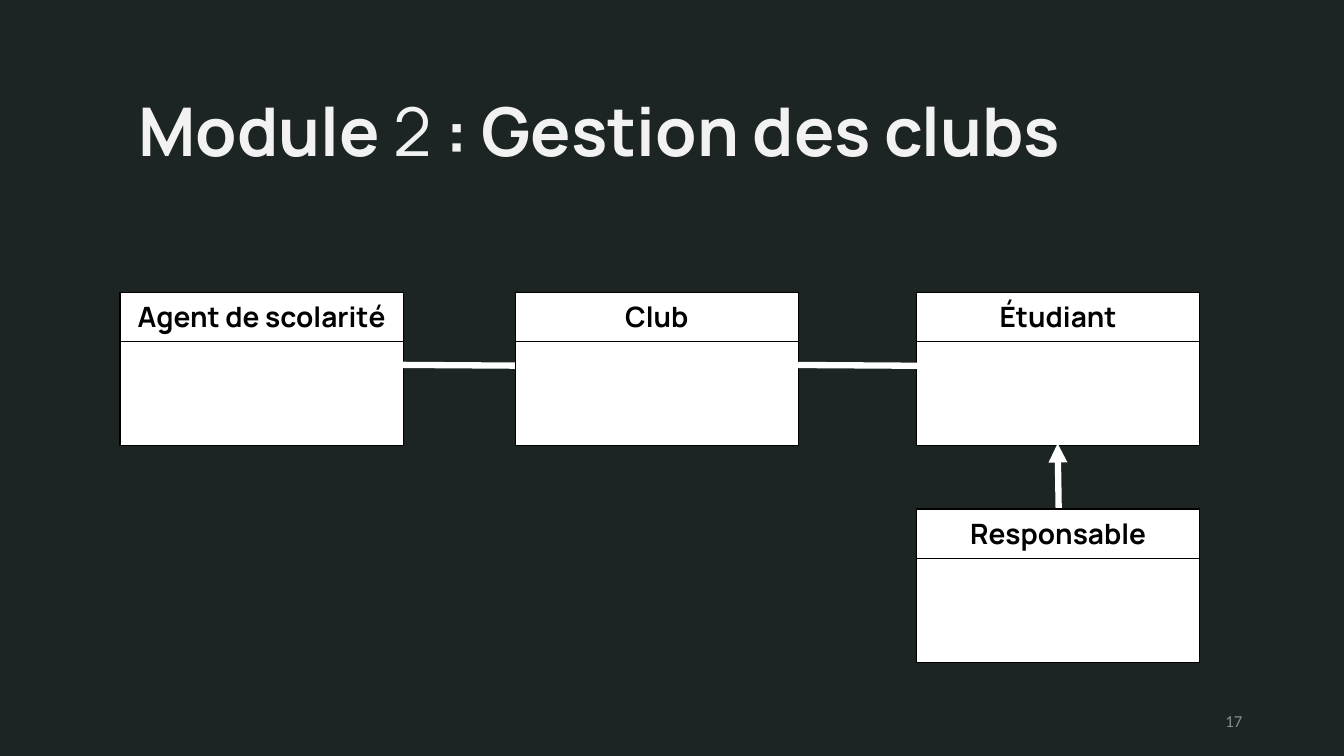
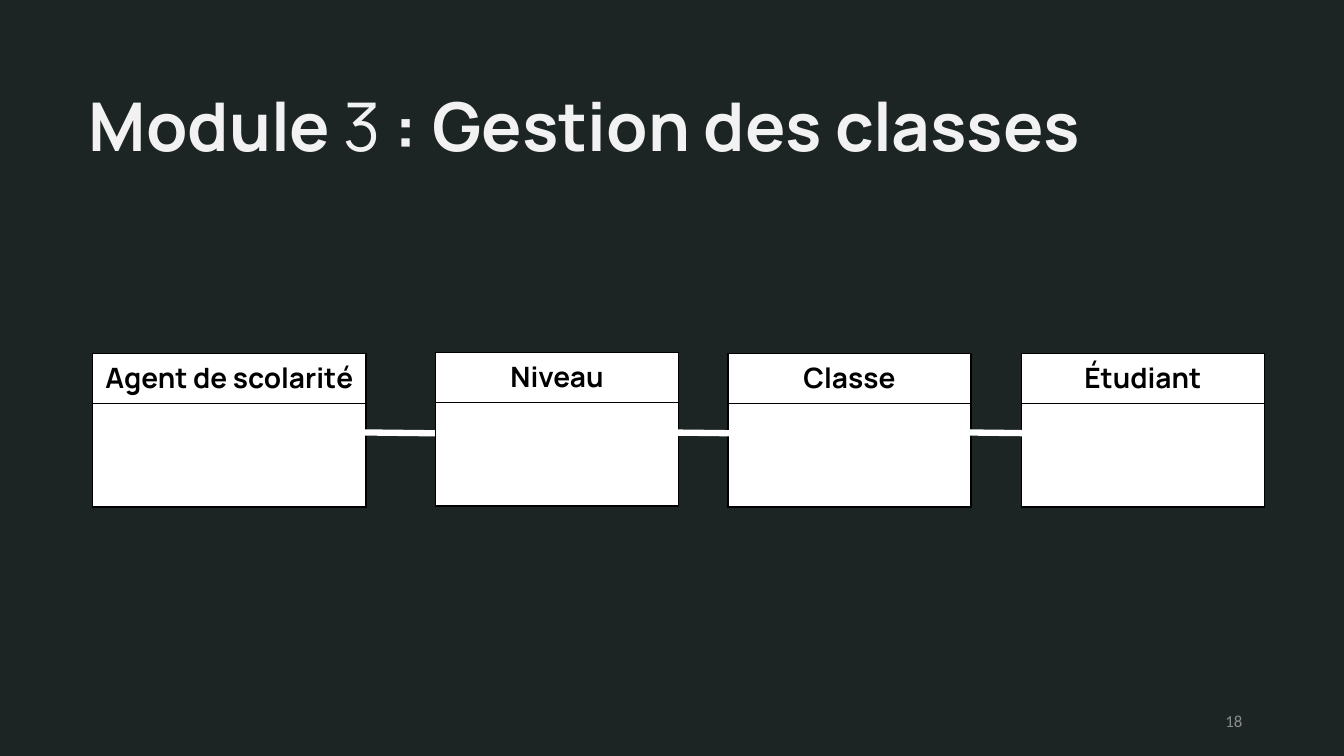
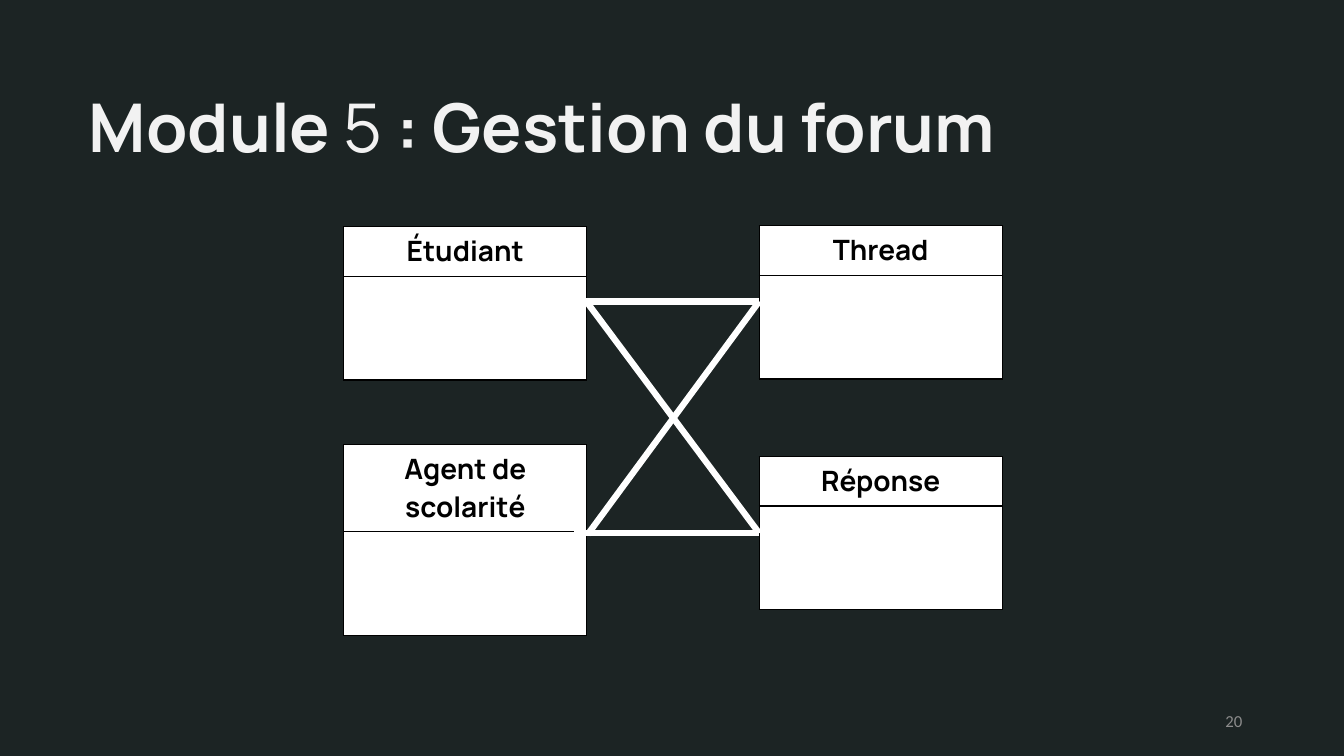
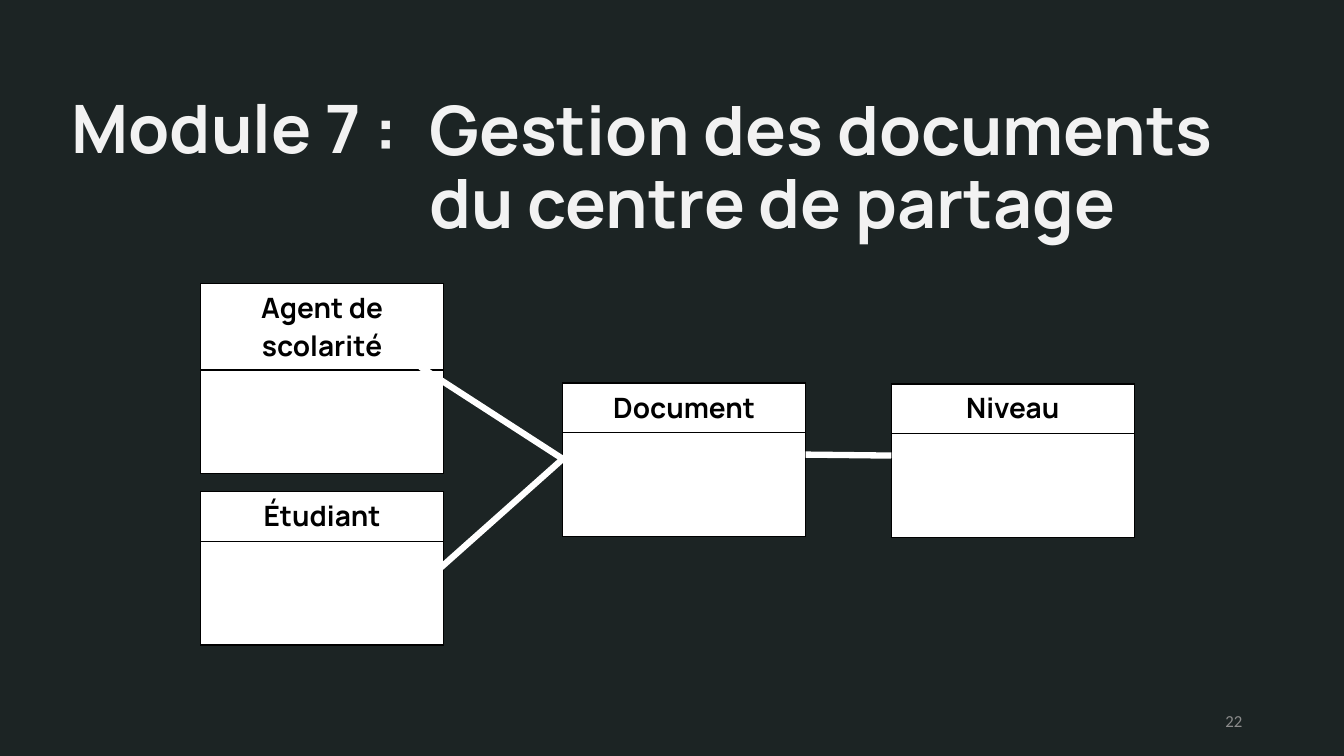
from dataclasses import dataclass

from lxml.etree import SubElement
from pptx import Presentation
from pptx.dml.color import RGBColor
from pptx.enum.shapes import MSO_CONNECTOR
from pptx.enum.text import MSO_ANCHOR, MSO_AUTO_SIZE, PP_ALIGN
from pptx.oxml.ns import qn
from pptx.shapes.base import BaseShape
from pptx.slide import Slide
from pptx.table import _Cell as Cell
from pptx.text.text import Font, TextFrame
from pptx.util import Inches, Pt

DARK, LIGHT, GREY = "1C2424", "F2F2F2", "8C8C8C"
BLACK, WHITE = "000000", "FFFFFF"
FACE = "Manrope"
HEAD, BODY = 0.49, 1.03
WIDE, MID, SLIM = 2.81, 2.71, 2.41
AGENT = "Agent de scolarité"


@dataclass(frozen=True)
class Span:
    text: str
    size: float = 48
    bold: bool = True


@dataclass(frozen=True)
class Heading:
    box: tuple[float, float, float, float]
    lines: list[list[Span]]


@dataclass(frozen=True)
class Entity:
    name: str
    left: float
    top: float
    width: float = SLIM


@dataclass(frozen=True)
class Link:
    start: tuple[float, float]
    end: tuple[float, float]
    arrow: bool = False


@dataclass(frozen=True)
class Page:
    number: int
    title: Heading
    items: list[Entity | Link]
    aside: Heading | None = None


def color(code: str) -> RGBColor:
    return RGBColor.from_string(code)


def style(font: Font, face: str, size: float, code: str, bold: bool) -> None:
    font.name, font.size, font.bold = face, Pt(size), bold
    font.color.rgb = color(code)


def place(shape: BaseShape, box: tuple[float, float, float, float]) -> None:
    shape.left, shape.top, shape.width, shape.height = map(Inches, box)


def setup(frame: TextFrame) -> None:
    frame.word_wrap = True
    frame.auto_size = MSO_AUTO_SIZE.NONE
    frame.vertical_anchor = MSO_ANCHOR.MIDDLE


def write(shape: BaseShape, head: Heading) -> None:
    """Place a heading and fill it with its styled lines."""
    place(shape, head.box)
    frame = shape.text_frame
    setup(frame)
    for i, spans in enumerate(head.lines):
        para = frame.add_paragraph() if i else frame.paragraphs[0]
        para.alignment = PP_ALIGN.LEFT
        para.line_spacing = 0.9
        for span in spans:
            run = para.add_run()
            run.text = span.text
            style(run.font, FACE, span.size, LIGHT, span.bold)


def border(cell: Cell) -> None:
    props = cell._tc.get_or_add_tcPr()
    for side in ("lnL", "lnR", "lnT", "lnB"):
        line = SubElement(props, qn(f"a:{side}"), w=str(Pt(1)))
        fill = SubElement(line, qn("a:solidFill"))
        SubElement(fill, qn("a:srgbClr"), val=BLACK)


def draw_entity(slide: Slide, item: Entity) -> None:
    table = slide.shapes.add_table(
        2, 1, Inches(item.left), Inches(item.top),
        Inches(item.width), Inches(HEAD + BODY)).table
    table.first_row = table.horz_banding = False
    for row, height in zip(table.rows, (HEAD, BODY)):
        row.height = Inches(height)
        cell = row.cells[0]
        border(cell)
        cell.fill.solid()
        cell.fill.fore_color.rgb = color(WHITE)
    cell = table.cell(0, 0)
    cell.text_frame.text = item.name
    para = cell.text_frame.paragraphs[0]
    para.alignment = PP_ALIGN.CENTER
    style(para.runs[0].font, FACE, 20, BLACK, True)


def draw_link(slide: Slide, item: Link) -> None:
    ends = map(Inches, item.start + item.end)
    wire = slide.shapes.add_connector(MSO_CONNECTOR.STRAIGHT, *ends)
    wire.line.color.rgb = color(WHITE)
    wire.line.width = Pt(4.5)
    if item.arrow:
        SubElement(wire.get_or_add_ln(), qn("a:tailEnd"), type="triangle")
    SubElement(wire._element.spPr, qn("a:effectLst"))


def draw_number(slide: Slide, number: int) -> None:
    box = slide.shapes.add_textbox(*map(Inches, (9.42, 6.95, 3, 0.4)))
    setup(box.text_frame)
    box.text_frame.text = str(number)
    para = box.text_frame.paragraphs[0]
    para.alignment = PP_ALIGN.RIGHT
    style(para.runs[0].font, "Calibri", 12, GREY, False)


def draw_page(slide: Slide, page: Page) -> None:
    write(slide.shapes.title, page.title)
    for item in page.items:
        if isinstance(item, Entity):
            draw_entity(slide, item)
        else:
            draw_link(slide, item)
    if page.aside:
        box = slide.shapes.add_textbox(0, 0, 0, 0)
        write(box, page.aside)
    draw_number(slide, page.number)


PAGES = [
    Page(
        17,
        Heading((1.27, 0.6, 10.19, 1.47), [[
            Span("Module"), Span(" 2 ", bold=False),
            Span(": Gestion des clubs")]]),
        [
            Entity(AGENT, 1.19, 2.9, WIDE),
            Link((3.97, 3.62), (5.5, 3.63)),
            Entity("Club", 5.11, 2.9, WIDE),
            Entity("Étudiant", 9.09, 2.9, WIDE),
            Link((7.76, 3.62), (9.29, 3.63)),
            Link((10.5, 5.04), (10.49, 4.4), arrow=True),
            Entity("Responsable", 9.09, 5.05, WIDE),
        ],
    ),
    Page(
        18,
        Heading((0.78, 0.53, 12.07, 1.47), [[
            Span("Module "), Span("3 ", bold=False), Span(":"),
            Span(" ", 54), Span("Gestion des classes")]]),
        [
            Entity(AGENT, 0.92, 3.51, MID),
            Link((3.59, 4.29), (4.44, 4.3)),
            Entity("Niveau", 4.32, 3.5),
            Entity("Classe", 7.22, 3.51),
            Entity("Étudiant", 10.13, 3.51),
            Link((6.57, 4.29), (7.42, 4.3)),
            Link((9.55, 4.29), (10.4, 4.3)),
        ],
    ),
    Page(
        20,
        Heading((0.78, 0.46, 10.89, 1.68), [[
            Span("Module "), Span("5 ", bold=False),
            Span(": Gestion du forum")]]),
        [
            Entity(AGENT, 3.41, 4.41),
            Entity("Étudiant", 3.41, 2.25),
            Entity("Thread", 7.53, 2.24),
            Entity("Réponse", 7.53, 4.53),
            Link((5.69, 2.99), (7.53, 2.99)),
            Link((5.69, 5.29), (7.53, 5.29)),
            Link((5.83, 5.3), (7.53, 2.99)),
            Link((5.83, 3.01), (7.53, 5.29)),
        ],
    ),
    Page(
        22,
        Heading((0.61, 0.46, 3.9, 1.68), [[
            Span("Module 7 ", 47.7), Span(":", 48.6)]]),
        [
            Entity(AGENT, 1.99, 2.81),
            Link((4.17, 3.64), (6.01, 4.83)),
            Entity("Document", 5.58, 3.8),
            Entity("Niveau", 8.84, 3.81),
            Link((7.99, 4.51), (8.84, 4.52)),
            Entity("Étudiant", 1.99, 4.88),
            Link((4.16, 5.82), (5.81, 4.35)),
        ],
        Heading((4.16, 0.72, 9, 1.93), [
            [Span("Gestion des documents", 48.6)],
            [Span("du centre de partage", 48.6)]]),
    ),
]


def main() -> None:
    deck = Presentation()
    deck.slide_width, deck.slide_height = Inches(13.33), Inches(7.5)
    back = deck.slide_master.background.fill
    back.solid()
    back.fore_color.rgb = color(DARK)
    for page in PAGES:
        draw_page(deck.slides.add_slide(deck.slide_layouts[5]), page)
    deck.save("out.pptx")


if __name__ == "__main__":
    main()
